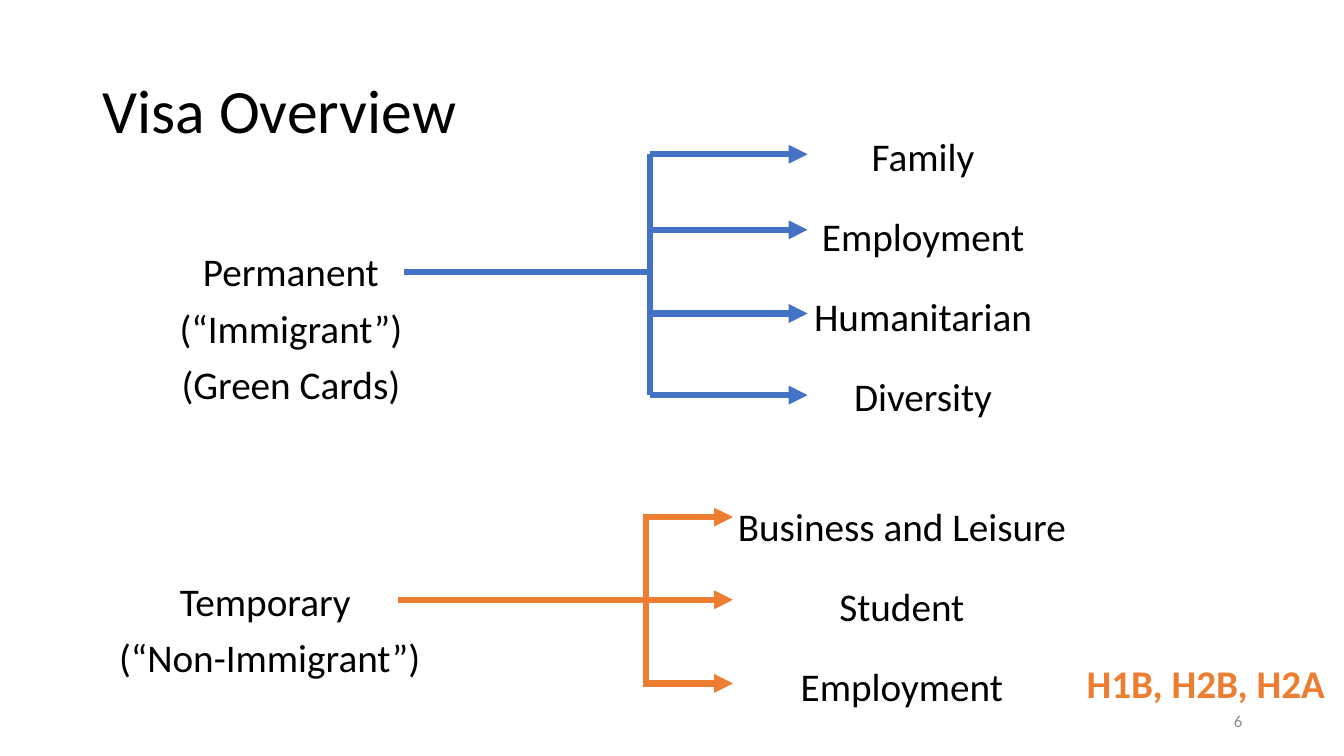
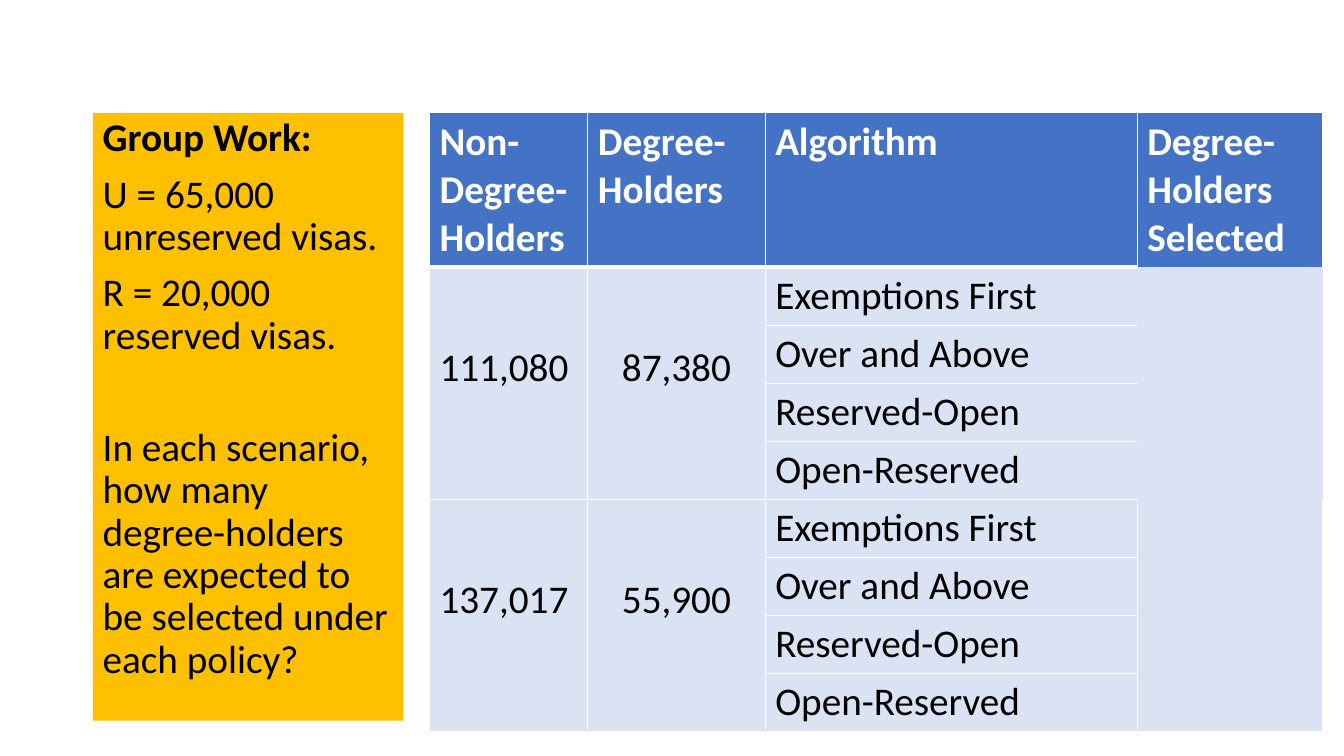
from dataclasses import dataclass

from lxml.etree import SubElement
from pptx import Presentation
from pptx.dml.color import RGBColor
from pptx.enum.shapes import MSO_CONNECTOR as Connector, MSO_SHAPE as Shape
from pptx.enum.text import MSO_ANCHOR as Anchor, PP_ALIGN as Align
from pptx.oxml.ns import qn
from pptx.util import Inches, Pt


@dataclass(frozen=True)
class Theme:
    font: str = "Calibri"
    black: str = "000000"
    white: str = "FFFFFF"
    blue: str = "4472C4"
    orange: str = "ED7D31"
    gold: str = "FFC000"
    pale: str = "DAE3F3"
    grey: str = "8C8C8C"
    title: int = 44
    body: int = 28
    small: int = 12
    rule: float = 4.5


THEME = Theme()

# Content: visa overview
TITLE = "Visa Overview"
PAGE_NUMBER = "6"
EXAMPLES = "H1B, H2B, H2A"
VISA_TREES = [
    dict(color=THEME.blue,
         name=["Permanent", "(“Immigrant”)", "(Green Cards)"],
         name_at=(0.92, 2.46, 3.93, 1.88),
         kinds=["Family", "Employment", "Humanitarian", "Diversity"],
         kinds_at=(7.19, 1.08, 3.93, 3.22),
         stem=(4.01, 2.7), spine=6.45, start=6.45, tip=8.01,
         levels=[1.53, 2.28, 3.11, 3.92]),
    dict(color=THEME.orange,
         name=["Temporary ", "(“Non-Immigrant”)"],
         name_at=(0.71, 5.73, 3.93, 1.21),
         kinds=["Business and Leisure", "Student", "Employment"],
         kinds_at=(6.98, 4.75, 3.93, 2.4),
         stem=(3.95, 5.95), spine=6.41, start=6.38, tip=7.27,
         levels=[5.13, 5.95, 6.78]),
]

# Content: group work
TASK_HEADING = "Group Work:"
TASK_FACTS = ["U = 65,000 unreserved visas.", "R = 20,000 reserved visas."]
TASK_QUESTION = ("In each scenario, how many degree-holders are expected "
                 "to be selected under each policy?")
HEADERS = ["Non-Degree-Holders", "Degree-Holders", "Algorithm",
           "Degree-Holders Selected"]
SCENARIOS = [("111,080", "87,380"), ("137,017", "55,900")]
ALGORITHMS = ["Exemptions First", "Over and Above", "Reserved-Open",
              "Open-Reserved"]
COLUMN_WIDTHS = [1.57, 1.76, 3.69, 1.84]
HEADER_HEIGHT, ROW_HEIGHT = 1.53, 0.57


def rgb(color):
    return RGBColor.from_string(color)


def write(frame, text, first=True, size=THEME.body, color=THEME.black,
          bold=False, align=Align.LEFT, spacing=None, before=0):
    """Write one paragraph into a text frame."""
    para = frame.paragraphs[0] if first else frame.add_paragraph()
    para.alignment = align
    para.space_before = Pt(0 if first else before)
    if spacing:
        para.line_spacing = spacing
    span = para.add_run()
    span.text = text
    span.font.name = THEME.font
    span.font.size = Pt(size)
    span.font.bold = bold
    span.font.color.rgb = rgb(color)


def add_text(slide, at, lines, anchor=Anchor.TOP, wrap=True, **style):
    box = slide.shapes.add_textbox(*map(Inches, at))
    frame = box.text_frame
    frame.word_wrap = wrap
    frame.vertical_anchor = anchor
    for index, line in enumerate(lines):
        write(frame, line, first=index == 0, **style)


def add_line(slide, start, end, color, arrow=False):
    line = slide.shapes.add_connector(
        Connector.STRAIGHT, *map(Inches, (*start, *end)))
    line.line.color.rgb = rgb(color)
    line.line.width = Pt(THEME.rule)
    if arrow:
        SubElement(line.line._get_or_add_ln(), qn("a:tailEnd"),
                   type="triangle")
    SubElement(line._element.spPr, qn("a:effectLst"))


def style_cell(cell, fill, **borders):
    """Fill a cell; borders give widths in points, white 1 by default."""
    properties = cell._tc.get_or_add_tcPr()
    for side in "LRTB":
        width = borders.get(side, 1)
        edge = SubElement(properties, qn(f"a:ln{side}"), w=str(Pt(width)))
        if width:
            paint = SubElement(edge, qn("a:solidFill"))
            SubElement(paint, qn("a:srgbClr"), val=THEME.white)
        else:
            SubElement(edge, qn("a:noFill"))
    cell.fill.solid()
    cell.fill.fore_color.rgb = rgb(fill)


def add_tree(slide, tree):
    add_text(slide, tree["name_at"], tree["name"], align=Align.CENTER,
             spacing=0.9, before=10)
    add_text(slide, tree["kinds_at"], tree["kinds"], align=Align.CENTER,
             spacing=1.4, before=10)
    color, spine, levels = tree["color"], tree["spine"], tree["levels"]
    for level in levels:
        add_line(slide, (tree["start"], level), (tree["tip"], level), color,
                 arrow=True)
    add_line(slide, (spine, levels[0]), (spine, levels[-1]), color)
    add_line(slide, tree["stem"], (spine, tree["stem"][1]), color)


def build_overview(slide):
    add_text(slide, (0.92, 0.4, 11.5, 1.45), [TITLE], anchor=Anchor.MIDDLE,
             size=THEME.title, spacing=0.9)
    for tree in VISA_TREES:
        add_tree(slide, tree)
    add_text(slide, (10.68, 6.49, 2.6, 0.57), [EXAMPLES], wrap=False,
             color=THEME.orange, bold=True)
    add_text(slide, (9.42, 6.95, 3, 0.4), [PAGE_NUMBER],
             anchor=Anchor.MIDDLE, size=THEME.small, color=THEME.grey,
             align=Align.RIGHT)


def add_scenarios(slide):
    group = len(ALGORITHMS)
    heights = [HEADER_HEIGHT] + [ROW_HEIGHT] * group * len(SCENARIOS)
    table = slide.shapes.add_table(
        len(heights), len(HEADERS), Inches(4.26), Inches(1.12),
        Inches(sum(COLUMN_WIDTHS)), Inches(sum(heights))).table
    table.first_row = table.horz_banding = False
    for column, width in zip(table.columns, COLUMN_WIDTHS):
        column.width = Inches(width)
    for row, height in zip(table.rows, heights):
        row.height = Inches(height)

    # Header row
    last = len(HEADERS) - 1
    for index, header in enumerate(HEADERS):
        cell = table.cell(0, index)
        style_cell(cell, THEME.blue, B=0 if index == last else 3)
        write(cell.text_frame, header, color=THEME.white, bold=True)

    # One block of rows for each scenario
    for number, counts in enumerate(SCENARIOS):
        top = 1 + number * group
        side = 1 if number else 0
        for offset, algorithm in enumerate(ALGORITHMS):
            row = top + offset
            for index in range(2):
                style_cell(table.cell(row, index), THEME.pale,
                           T=1 if number or offset else 3)
            cell = table.cell(row, 2)
            style_cell(cell, THEME.pale, R=side, T=3 if row == 1 else 1)
            write(cell.text_frame, algorithm)
            style_cell(table.cell(row, last), THEME.pale, L=side, R=side,
                       T=0, B=int(row == len(heights) - 1))
        for index, count in enumerate(counts):
            cell = table.cell(top, index)
            cell.merge(table.cell(top + group - 1, index))
            cell.vertical_anchor = Anchor.MIDDLE
            cell.margin_bottom = Inches(0.35)
            write(cell.text_frame, count,
                  align=Align.CENTER if index else Align.LEFT)


def build_group_work(slide):
    add_scenarios(slide)
    panel = slide.shapes.add_shape(
        Shape.RECTANGLE, *map(Inches, (0.92, 1.12, 3.08, 6.03)))
    panel.shadow.inherit = False
    panel.fill.solid()
    panel.fill.fore_color.rgb = rgb(THEME.gold)
    panel.line.fill.background()
    frame = panel.text_frame
    frame.word_wrap = True
    frame.vertical_anchor = Anchor.TOP
    write(frame, TASK_HEADING, bold=True, spacing=0.9)
    for fact in TASK_FACTS:
        write(frame, fact, first=False, spacing=0.9, before=10)
    write(frame, TASK_QUESTION, first=False, spacing=0.9, before=50)


def main():
    deck = Presentation()
    deck.slide_width, deck.slide_height = Inches(13.33), Inches(7.5)
    for build in (build_overview, build_group_work):
        build(deck.slides.add_slide(deck.slide_layouts[6]))
    deck.save("out.pptx")


if __name__ == "__main__":
    main()
